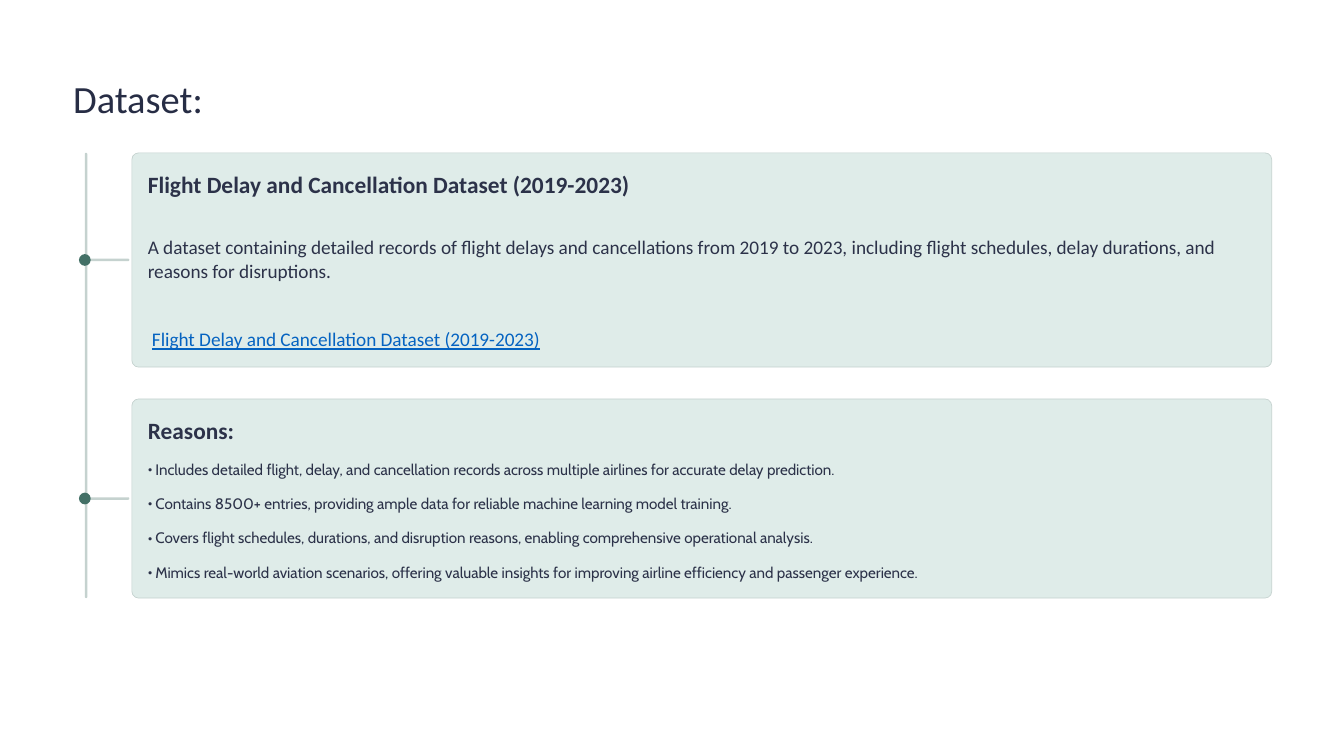
from collections import namedtuple
from pptx import Presentation, util as u
from pptx.dml.color import RGBColor
from pptx.enum import shapes, text
from pptx.oxml import parse_xml
from pptx.oxml.ns import nsdecls

COLS, ROWS = 160, 90
Box = namedtuple("Box", "x y w h")
THEME = {
    "page": "FFFFFF", "rail": "C5D2CF", "dot": "437066", "card": "DFECE9",
    "title": {"name": "Calibri", "size": 33, "color": "272D45", "lead": 41.5},
    "head": {"name": "Calibri", "size": 20, "color": "2C3249", "lead": 25, "bold": True},
    "body": {"name": "Calibri", "size": 16.5, "color": "2C3249", "lead": 20.5},
    "link": {"name": "Calibri", "size": 16.5, "color": "0563C1", "lead": 20.5, "underline": True},
    "list": {"name": "Cabin", "size": 13, "color": "2C3249", "lead": 21, "gap": 8.5},
}

deck = Presentation()
deck.slide_width, deck.slide_height = u.Inches(16), u.Inches(9)
CELL_W, CELL_H = deck.slide_width / COLS, deck.slide_height / ROWS


def place(box):
    return [round(v) for v in (box.x * CELL_W, box.y * CELL_H, box.w * CELL_W, box.h * CELL_H)]


def paint(fill, color):
    fill.solid()
    fill.fore_color.rgb = RGBColor.from_string(color)


def add_block(slide, box, color, round_by=0.5, edge=None):
    block = slide.shapes.add_shape(shapes.MSO_SHAPE.ROUNDED_RECTANGLE, *place(box))
    block.adjustments[0] = round_by
    block.shadow.inherit = False
    paint(block.fill, color)
    if edge:
        paint(block.line.fill, edge)
        block.line.width = u.Pt(0.6)
    else:
        block.line.fill.background()


def add_bullet(para):
    props = para._p.get_or_add_pPr()
    inset = u.Inches(0.09)
    props.set("marL", str(inset))
    props.set("indent", str(-inset))
    props.append(parse_xml(f'<a:buFont {nsdecls("a")} typeface="Cabin"/>'))
    props.append(parse_xml(f'<a:buChar {nsdecls("a")} char="•"/>'))


def add_text(slide, box, lines, style, bullets=False):
    look = THEME[style]
    frame = slide.shapes.add_textbox(*place(box)).text_frame
    format_by = {"word_wrap": True, "vertical_anchor": text.MSO_ANCHOR.TOP}
    format_by.update({f"margin_{side}": 0 for side in ("left", "top", "right", "bottom")})
    for key, value in format_by.items():
        setattr(frame, key, value)
    for i, line in enumerate(lines):
        para = frame.paragraphs[0] if i == 0 else frame.add_paragraph()
        para.line_spacing = u.Pt(look["lead"])
        if i:
            para.space_before = u.Pt(look.get("gap", 0))
        if bullets:
            add_bullet(para)
        run = para.add_run()
        run.text = line
        for key in ("name", "bold", "underline"):
            if key in look:
                setattr(run.font, key, look[key])
        run.font.size = u.Pt(look["size"])
        run.font.color.rgb = RGBColor.from_string(look["color"])


def add_rail(slide, box, cards):
    add_block(slide, box, THEME["rail"])
    for card in cards:
        mid = card.y + card.h / 2
        add_block(slide, Box(box.x - 0.3, mid - 0.15, 5.6, 0.3), THEME["rail"])
        add_block(slide, Box(box.x - 0.7, mid - 0.7, 1.4, 1.4), THEME["dot"])


def add_card(slide, box, parts):
    add_block(slide, box, THEME["card"], 0.8 / box.h, THEME["rail"])
    for dx, dy, high, style, lines in parts:
        spot = Box(box.x + 1.9 + dx, box.y + dy, box.w - 3.9 - dx, high)
        add_text(slide, spot, lines, style, style == "list")


def build():
    slide = deck.slides.add_slide(deck.slide_layouts[6])
    paint(slide.background.fill, THEME["page"])
    add_text(slide, Box(8.7, 8.7, 46.5, 5.8), ["Dataset:"], "title")
    about = Box(15.7, 18.2, 135.7, 25.5)
    why = about._replace(y=47.5, h=23.7)
    add_rail(slide, Box(10.1, about.y, 0.3, why.y + why.h - about.y), [about, why])
    name = "Flight Delay and Cancellation Dataset (2019-2023)"
    add_card(slide, about, [
        (0, 1.9, 7, "head", [name]),
        (0, 9.7, 5.8, "body", [
            "A dataset containing detailed records of flight delays and cancellations from 2019 to 2023, "
            "including flight schedules, delay durations, and reasons for disruptions."]),
        (0.5, 20.7, 2.9, "link", [name]),
    ])
    add_card(slide, why, [
        (0, 1.9, 3.5, "head", ["Reasons:"]),
        (0, 6.5, 15.3, "list", [
            "Includes detailed flight, delay, and cancellation records across multiple airlines for accurate delay prediction.",
            "Contains 8500+ entries, providing ample data for reliable machine learning model training.",
            "Covers flight schedules, durations, and disruption reasons, enabling comprehensive operational analysis.",
            "Mimics real-world aviation scenarios, offering valuable insights for improving airline efficiency and passenger experience."]),
    ])


if __name__ == "__main__":
    build()
    deck.save("out.pptx")
